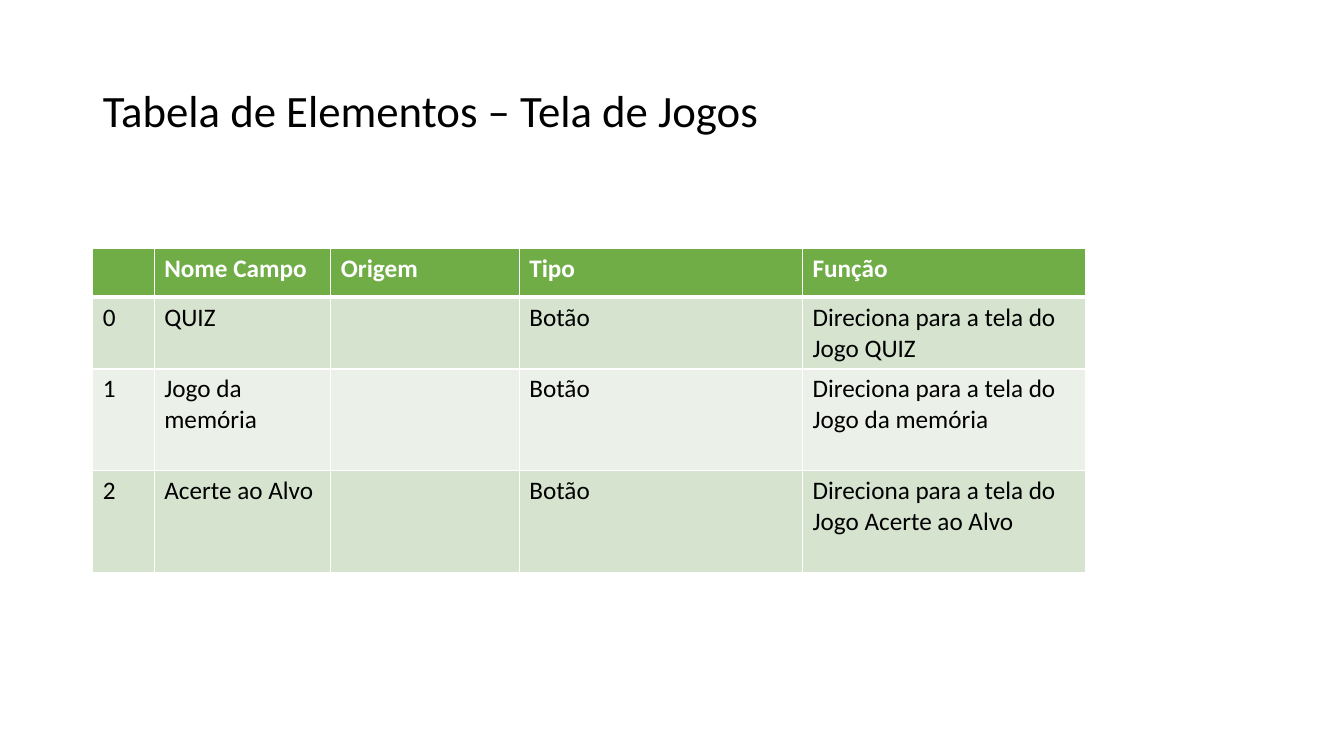
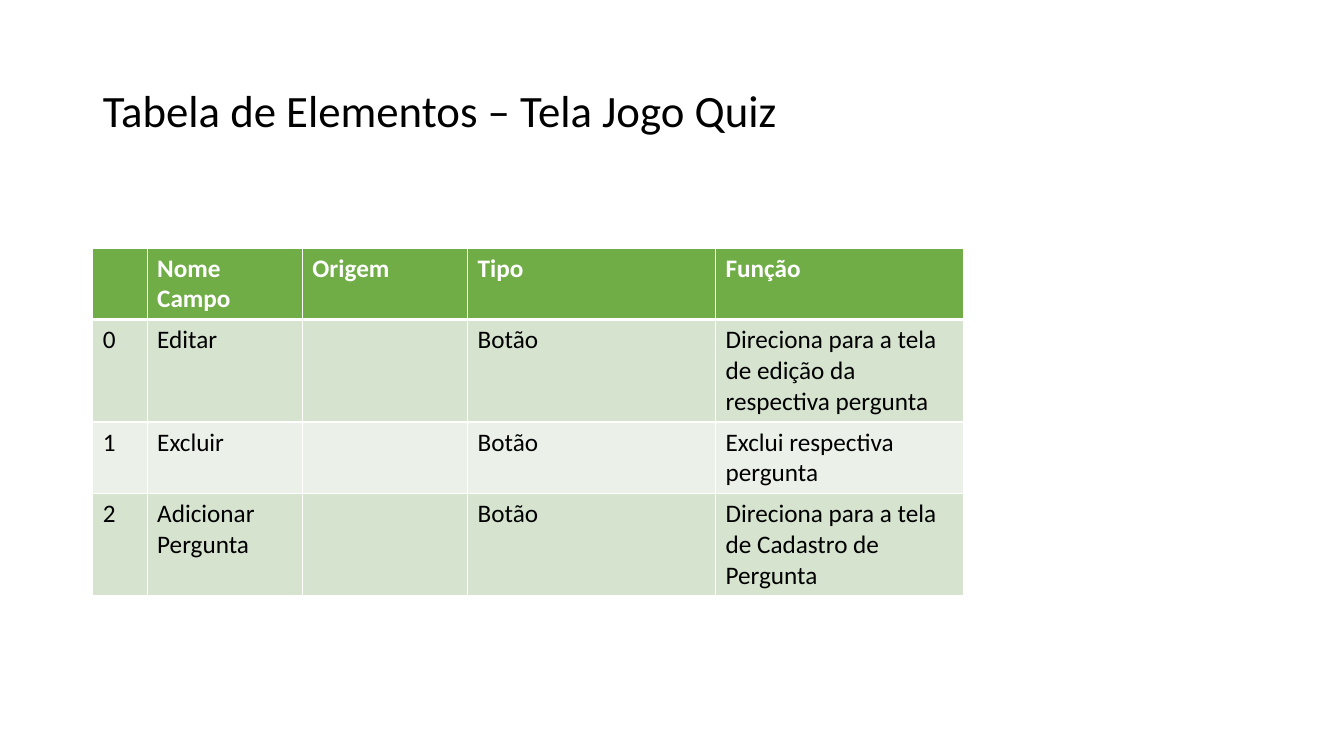
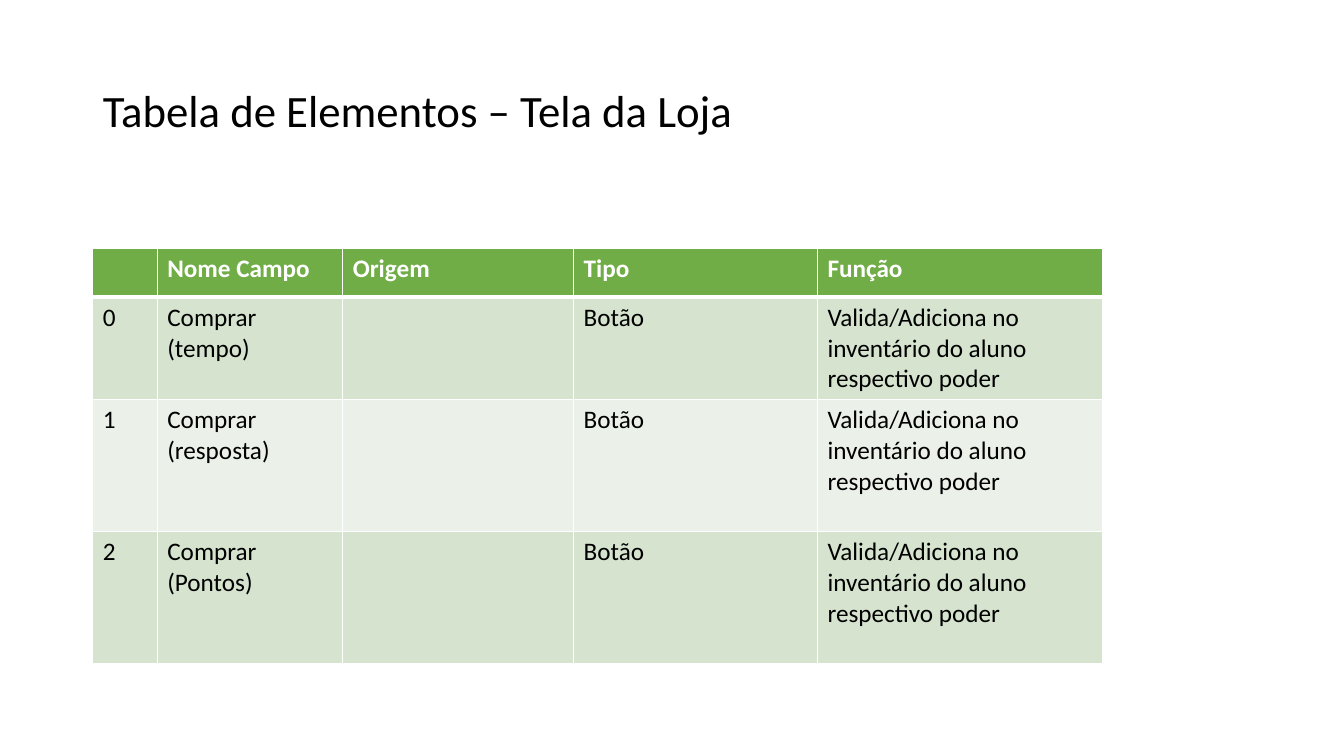
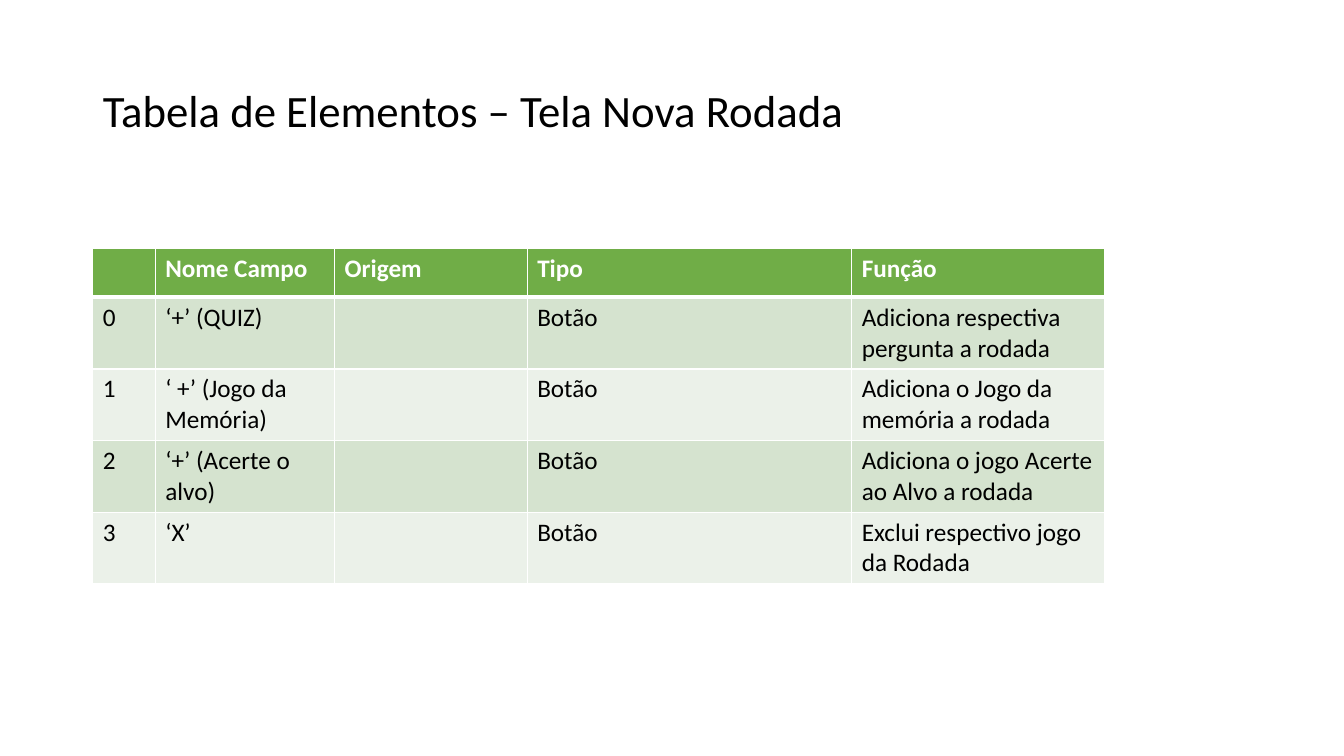
"""Build four slides that each list the elements of one game screen in a table."""
import lxml.etree
import pptx
import pptx.dml.color
import pptx.enum.text
import pptx.oxml.ns
import pptx.util

THEME = {
    "font": "Calibri",
    "title": {"size": 32, "bold": False, "color": "000000"},
    "header": {"size": 18, "bold": True, "color": "FFFFFF"},
    "body": {"size": 18, "bold": False, "color": "000000"},
    "header_fill": "70AD47",
    "band_fills": ("D5E3CF", "EBF1E9"),
    "border_color": "FFFFFF",
    "thin_border": 1,
    "thick_border": 3,
}

presentation = pptx.Presentation()
presentation.slide_width = pptx.util.Inches(13.333)
presentation.slide_height = pptx.util.Inches(7.5)
COLUMN = presentation.slide_width / 100
ROW = presentation.slide_height / 100
MARGIN = 6.9
TITLE_TOP, TITLE_HEIGHT = 5.33, 19.33
TABLE_TOP, HEADER_HEIGHT = 32.8, 6.53
LINE_HEIGHT, CELL_PADDING = 4, 1.47

HEADINGS = ("", "Nome Campo", "Origem", "Tipo", "Função")
FIELD_TYPE = "Botão"
POWER = "Valida/Adiciona no inventário do aluno respectivo poder"

SCREENS = [
    {
        "title": "Tela de Jogos",
        "widths": (4.58, 13.13, 14.03, 21.08, 21.08),
        "header_height": HEADER_HEIGHT,
        "fields": [
            ("QUIZ", "Direciona para a tela do Jogo QUIZ", 2),
            ("Jogo da memória", "Direciona para a tela do Jogo da memória", 3),
            ("Acerte ao Alvo", "Direciona para a tela do Jogo Acerte ao Alvo", 3),
        ],
    },
    {
        "title": "Tela Jogo Quiz",
        "widths": (4.05, 11.55, 12.3, 18.45, 18.45),
        "header_height": 2 * LINE_HEIGHT + CELL_PADDING,
        "fields": [
            ("Editar", "Direciona para a tela de edição da respectiva pergunta", 3),
            ("Excluir", "Exclui respectiva pergunta", 2),
            ("Adicionar Pergunta", "Direciona para a tela de Cadastro de Pergunta", 3),
        ],
    },
    {
        "title": "Tela da Loja",
        "widths": (4.8, 13.8, 17.18, 18.15, 21.23),
        "header_height": HEADER_HEIGHT,
        "fields": [
            ("Comprar (tempo)", POWER, 3),
            ("Comprar (resposta)", POWER, 4),
            ("Comprar (Pontos)", POWER, 4),
        ],
    },
    {
        "title": "Tela Nova Rodada",
        "widths": (4.65, 13.35, 14.33, 24.15, 18.78),
        "header_height": HEADER_HEIGHT,
        "fields": [
            ("‘+’ (QUIZ)", "Adiciona respectiva pergunta a rodada", 2),
            ("‘ +’ (Jogo da Memória)", "Adiciona o Jogo da memória a rodada", 2),
            ("‘+’ (Acerte o alvo)", "Adiciona o jogo Acerte ao Alvo a rodada", 2),
            ("‘X’", "Exclui respectivo jogo da Rodada", 2),
        ],
    },
]


def write_text(text_frame, text, style):
    paragraph = text_frame.paragraphs[0]
    paragraph.alignment = pptx.enum.text.PP_ALIGN.LEFT
    if text:
        run = paragraph.add_run()
        run.text = text
        formats = {
            "name": THEME["font"],
            "size": pptx.util.Pt(style["size"]),
            "bold": style["bold"],
        }
        for attribute, value in formats.items():
            setattr(run.font, attribute, value)
        run.font.color.rgb = pptx.dml.color.RGBColor.from_string(style["color"])
    return paragraph


def paint_cell(cell, fill, border_widths):
    cell.fill.solid()
    cell.fill.fore_color.rgb = pptx.dml.color.RGBColor.from_string(fill)
    properties = cell._tc.get_or_add_tcPr()
    for position, (side, width) in enumerate(border_widths.items()):
        line = lxml.etree.Element(
            pptx.oxml.ns.qn(f"a:ln{side}"), w=str(pptx.util.Pt(width))
        )
        solid = lxml.etree.SubElement(line, pptx.oxml.ns.qn("a:solidFill"))
        lxml.etree.SubElement(
            solid, pptx.oxml.ns.qn("a:srgbClr"), val=THEME["border_color"]
        )
        properties.insert(position, line)


for screen in SCREENS:
    slide = presentation.slides.add_slide(presentation.slide_layouts[5])
    title = slide.shapes.title
    title_place = {
        "left": int(MARGIN * COLUMN),
        "top": int(TITLE_TOP * ROW),
        "width": int((100 - 2 * MARGIN) * COLUMN),
        "height": int(TITLE_HEIGHT * ROW),
    }
    for attribute, value in title_place.items():
        setattr(title, attribute, value)
    title_format = {
        "vertical_anchor": pptx.enum.text.MSO_ANCHOR.MIDDLE,
        "auto_size": pptx.enum.text.MSO_AUTO_SIZE.NONE,
        "word_wrap": True,
    }
    for attribute, value in title_format.items():
        setattr(title.text_frame, attribute, value)
    paragraph = write_text(
        title.text_frame, f"Tabela de Elementos – {screen['title']}", THEME["title"]
    )
    paragraph.line_spacing = 0.9

    rows = [HEADINGS]
    heights = [screen["header_height"]]
    for number, (name, function, lines) in enumerate(screen["fields"]):
        rows.append((str(number), name, "", FIELD_TYPE, function))
        heights.append(lines * LINE_HEIGHT + CELL_PADDING)

    table = slide.shapes.add_table(
        len(rows),
        len(HEADINGS),
        int(MARGIN * COLUMN),
        int(TABLE_TOP * ROW),
        int(sum(screen["widths"]) * COLUMN),
        int(sum(heights) * ROW),
    ).table
    for column, width in zip(table.columns, screen["widths"]):
        column.width = int(width * COLUMN)

    for row_index, (texts, height) in enumerate(zip(rows, heights)):
        table.rows[row_index].height = int(height * ROW)
        is_header = row_index == 0
        style = THEME["header"] if is_header else THEME["body"]
        fill = THEME["header_fill"] if is_header else THEME["band_fills"][(row_index - 1) % 2]
        borders = dict.fromkeys("LRTB", THEME["thin_border"])
        if is_header:
            borders["B"] = THEME["thick_border"]
        elif row_index == 1:
            borders["T"] = THEME["thick_border"]
        for column_index, text in enumerate(texts):
            cell = table.cell(row_index, column_index)
            write_text(cell.text_frame, text, style)
            paint_cell(cell, fill, borders)

presentation.save("out.pptx")
